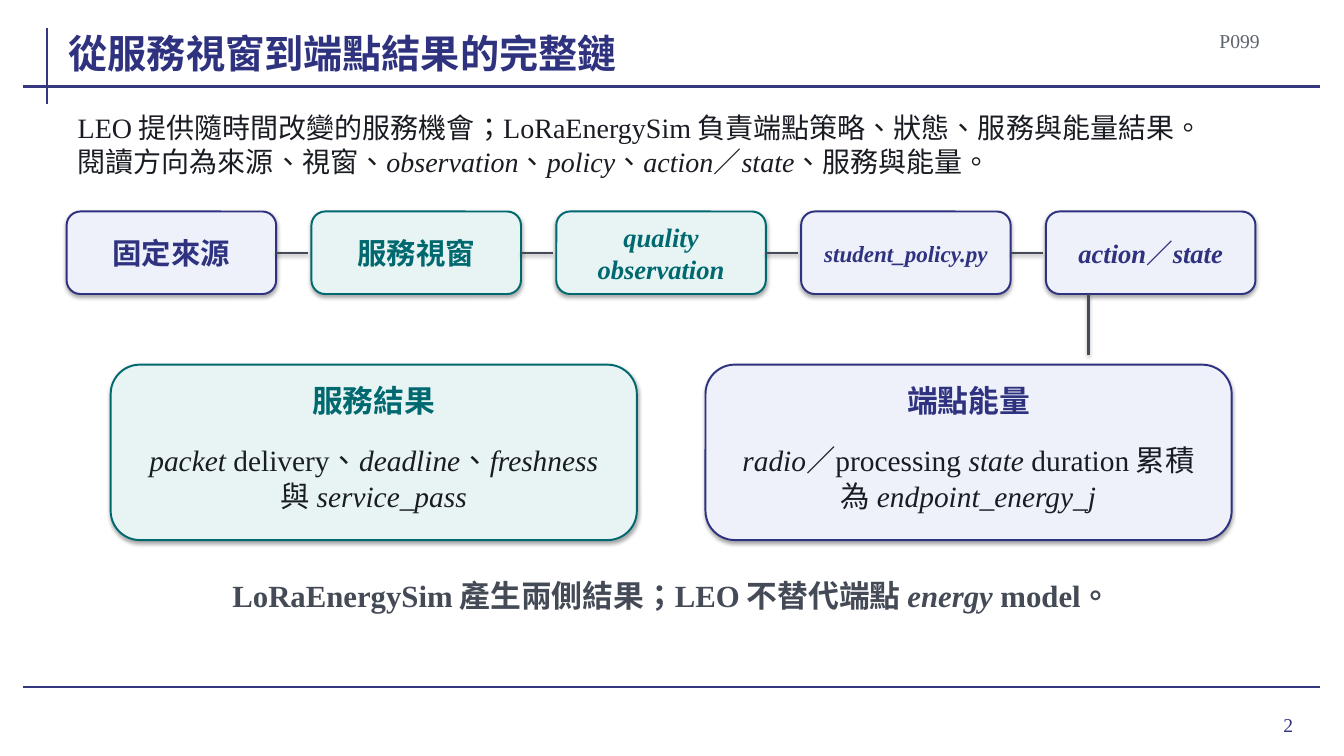
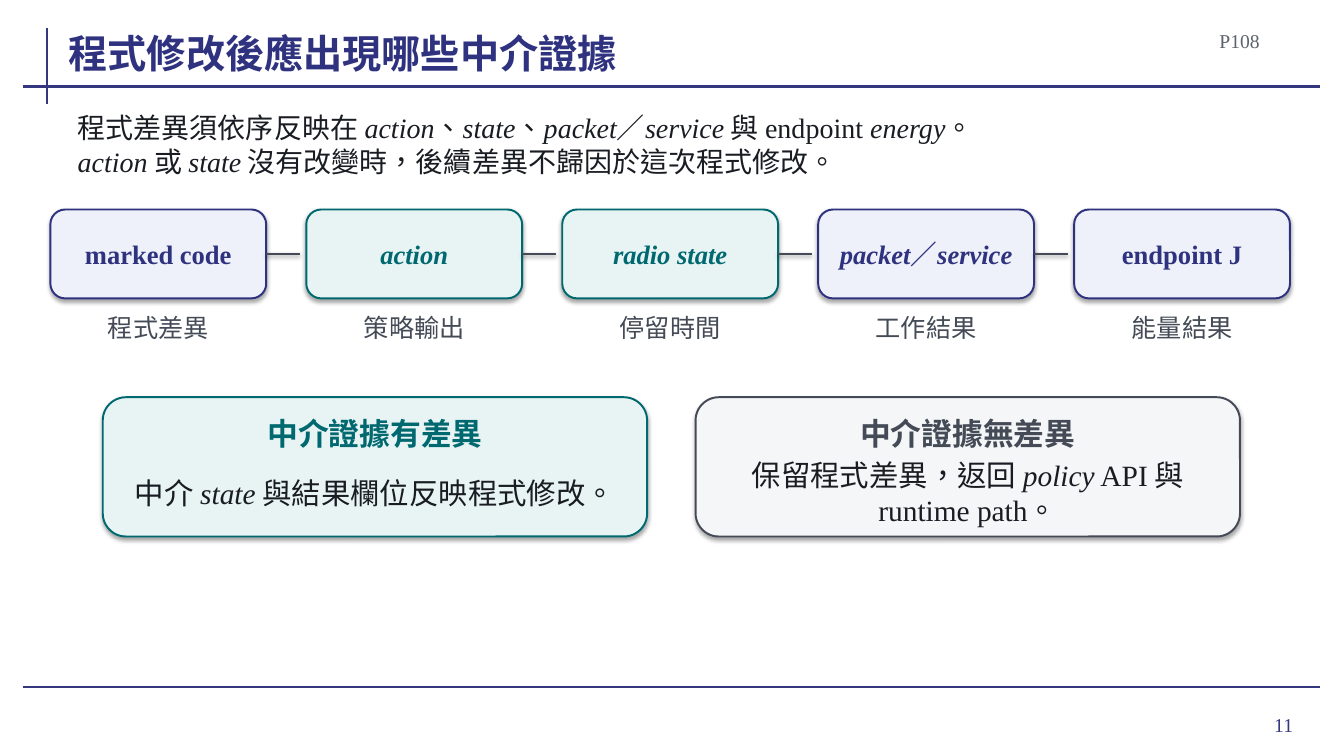
from itertools import groupby

from lxml import etree
from pptx import Presentation
from pptx.dml.color import RGBColor
from pptx.enum.lang import MSO_LANGUAGE_ID
from pptx.enum.shapes import MSO_CONNECTOR, MSO_SHAPE
from pptx.enum.text import MSO_ANCHOR, MSO_AUTO_SIZE, PP_ALIGN
from pptx.oxml.ns import qn
from pptx.util import Cm, Pt

LEFT, CENTER, RIGHT = PP_ALIGN.LEFT, PP_ALIGN.CENTER, PP_ALIGN.RIGHT
TOP, MIDDLE, BOTTOM = MSO_ANCHOR.TOP, MSO_ANCHOR.MIDDLE, MSO_ANCHOR.BOTTOM
NO_AUTO_SIZE = MSO_AUTO_SIZE.NONE
STRAIGHT = MSO_CONNECTOR.STRAIGHT
ROUNDED = MSO_SHAPE.ROUNDED_RECTANGLE
CHINESE = MSO_LANGUAGE_ID.TRADITIONAL_CHINESE

LATIN_FONT, CJK_FONT = "Times New Roman", "Noto Sans CJK SC"
FRAME, NAVY, TEAL, GRAY = "35377F", "2F327F", "006970", "444B56"
INK, CODE_GRAY = "191C22", "5C626C"
TINTS = {NAVY: "EEF1F9", TEAL: "E8F4F4", GRAY: "F5F6F8"}
LINE_HEIGHT = 1.21
TITLE_ONLY = 5

TITLE_BOX = (1.73, 0.46, 27.69, 1.47)
CODE_BOX = (29.77, 0.69, 2.08, 0.66)
INTRO_BOX = (1.93, 2.84, 29.92, 1.57)
PAGE_BOX = (30.38, 17.6, 2.46, 1.32)
FRAME_LINES = [
    (1.19, 0.71, 1.19, 2.62),
    (0.58, 2.18, 33.27, 2.18),
    (0.58, 17.32, 33.27, 17.32),
]


def rgb(color):
    return RGBColor.from_string(color)


def lengths(values):
    return [Cm(value) for value in values]


def set_effects(shape, opacity=0, distance=0):
    """Replace the theme shadow by a soft one below, or by none."""
    effects = etree.SubElement(shape._element.spPr, qn("a:effectLst"))
    if opacity:
        shadow = etree.SubElement(
            effects, qn("a:outerShdw"), blurRad=str(Pt(3.1)),
            dist=str(Pt(distance)), dir="5400000", rotWithShape="0")
        color = etree.SubElement(shadow, qn("a:srgbClr"), val="000000")
        etree.SubElement(color, qn("a:alpha"), val=str(opacity * 1000))


def is_cjk(text, index):
    """A space counts as CJK when it touches a CJK character."""
    if text[index] == " ":
        return any(character > "\u2e80"
                   for character in text[max(index - 1, 0):index + 2])
    return text[index] > "\u2e80"


def add_runs(paragraph, text, size, color, bold):
    """Write a line in which *stars* enclose italics."""
    for number, part in enumerate(text.split("*")):
        for cjk, indexes in groupby(range(len(part)), lambda i: is_cjk(part, i)):
            run = paragraph.add_run()
            run.text = "".join(part[index] for index in indexes)
            font_name = CJK_FONT if cjk else LATIN_FONT
            values = {"size": Pt(size), "bold": bold, "italic": number % 2 == 1,
                      "name": font_name}
            if cjk:
                values["language_id"] = CHINESE
            for name, value in values.items():
                setattr(run.font, name, value)
            run.font.color.rgb = rgb(color)
            latin = run._r.rPr.find(qn("a:latin"))
            latin.addnext(etree.Element(qn("a:ea"), typeface=font_name))


def write(frame, text, size, color, bold=False, align=CENTER, anchor=MIDDLE,
          inset=0.1):
    values = {"word_wrap": True, "auto_size": NO_AUTO_SIZE,
              "vertical_anchor": anchor}
    for side in ("left", "right", "top", "bottom"):
        values[f"margin_{side}"] = Cm(inset)
    for name, value in values.items():
        setattr(frame, name, value)
    paragraph = frame.paragraphs[0]
    paragraph.alignment = align
    paragraph.line_spacing = Pt(round(size * LINE_HEIGHT, 1))
    for number, line in enumerate(text.split("\n")):
        if number:
            paragraph.add_line_break()
        add_runs(paragraph, line, size, color, bold)


def add_text(slide, box, text, size, color, **layout):
    shape = slide.shapes.add_textbox(*lengths(box))
    write(shape.text_frame, text, size, color, **layout)


def add_line(slide, ends, color):
    line = slide.shapes.add_connector(STRAIGHT, *lengths(ends))
    line.line.color.rgb = rgb(color)
    line.line.width = Pt(1.5)
    return line


def add_link(slide, *ends):
    set_effects(add_line(slide, ends, GRAY), 38, 1.6)


def add_panel(slide, box, color):
    panel = slide.shapes.add_shape(ROUNDED, *lengths(box))
    panel.fill.solid()
    panel.fill.fore_color.rgb = rgb(TINTS[color])
    panel.line.color.rgb = rgb(color)
    panel.line.width = Pt(1.4)
    set_effects(panel, 35, 1.8)
    return panel


def add_chain(slide, first_box, pitch, link, nodes):
    """Place equal nodes in a row, each but the last with a link after it."""
    left, top, width, height = first_box
    for number, (text, size, color, caption) in enumerate(nodes):
        x = left + number * pitch
        node = add_panel(slide, (x, top, width, height), color)
        write(node.text_frame, text, size, color, bold=True)
        if caption:
            add_text(slide, (x, top + height + 0.25, width, 1.07), caption, 18,
                     GRAY, anchor=TOP)
        if number < len(nodes) - 1:
            middle = top + height / 2
            add_link(slide, x + width, middle, x + width + link, middle)


def add_card(slide, box, heading, text, color):
    left, top, width, height = box
    add_panel(slide, box, color)
    inner_left, inner_width = left + 0.5, width - 1
    add_text(slide, (inner_left, top + 0.41, inner_width, 0.97), heading, 22,
             color, bold=True)
    add_text(slide, (inner_left, top + 1.63, inner_width, height - 1.98), text,
             21, INK)


def add_base(presentation, title, code, page, intro):
    slide = presentation.slides.add_slide(presentation.slide_layouts[TITLE_ONLY])
    write(slide.shapes.title.text_frame, title, 28, NAVY, bold=True, align=LEFT,
          anchor=BOTTOM, inset=0)
    add_text(slide, CODE_BOX, code, 14, CODE_GRAY, align=RIGHT)
    add_text(slide, PAGE_BOX, page, 14, FRAME, align=RIGHT, inset=0.25)
    add_text(slide, INTRO_BOX, intro, 20, INK, align=LEFT, inset=0.03)
    return slide


def prepare_layout(layout, slide):
    """Put the title box and the frame lines, drawn on a slide, on its layout."""
    title = layout.placeholders[0]
    title.left, title.top, title.width, title.height = lengths(TITLE_BOX)
    for ends in FRAME_LINES:
        line = add_line(slide, ends, FRAME)
        set_effects(line)
        layout.shapes._spTree.append(line._element)


def add_flow_slide(presentation):
    slide = add_base(
        presentation, "從服務視窗到端點結果的完整鏈", "P099", "2",
        "LEO 提供隨時間改變的服務機會；LoRaEnergySim 負責端點策略、狀態、服務與能量結果。\n"
        "閱讀方向為來源、視窗、*observation*、*policy*、*action*／*state*、服務與能量。")
    add_chain(slide, (1.68, 5.33, 5.28, 2.08), 6.17, 0.81, [
        ("固定來源", 21, NAVY, ""),
        ("服務視窗", 21, TEAL, ""),
        ("*quality observation*", 19, TEAL, ""),
        ("*student_policy.py*", 16.5, NAVY, ""),
        ("*action*／*state*", 19, NAVY, ""),
    ])
    add_link(slide, 27.43, 7.41, 27.43, 8.94)
    add_card(slide, (2.79, 9.19, 13.26, 4.42), "服務結果",
             "*packet* delivery、*deadline*、*freshness* 與 *service_pass*", TEAL)
    add_card(slide, (17.78, 9.19, 13.26, 4.42), "端點能量",
             "*radio*／processing *state* duration 累積為 *endpoint_energy_j*", NAVY)
    add_text(slide, (2.84, 14.35, 28.19, 1.27),
             "LoRaEnergySim 產生兩側結果；LEO 不替代端點 *energy* model。",
             22, GRAY, bold=True)
    return slide


def add_evidence_slide(presentation):
    slide = add_base(
        presentation, "程式修改後應出現哪些中介證據", "P108", "11",
        "程式差異須依序反映在 *action*、*state*、*packet*／*service* 與 endpoint *energy*。\n"
        "*action* 或 *state* 沒有改變時，後續差異不歸因於這次程式修改。")
    add_chain(slide, (1.27, 5.28, 5.44, 2.24), 6.45, 0.86, [
        ("marked code", 19, NAVY, "程式差異"),
        ("*action*", 19, TEAL, "策略輸出"),
        ("*radio state*", 19, TEAL, "停留時間"),
        ("*packet*／*service*", 19, NAVY, "工作結果"),
        ("endpoint J", 19, NAVY, "能量結果"),
    ])
    add_card(slide, (2.59, 10.01, 13.72, 3.51), "中介證據有差異",
             "中介 *state* 與結果欄位反映程式修改。", TEAL)
    add_card(slide, (17.53, 10.01, 13.72, 3.51), "中介證據無差異",
             "保留程式差異，返回 *policy* API 與 runtime path。", GRAY)


def main():
    presentation = Presentation()
    presentation.slide_width, presentation.slide_height = lengths((33.87, 19.05))
    flow_slide = add_flow_slide(presentation)
    prepare_layout(flow_slide.slide_layout, flow_slide)
    add_evidence_slide(presentation)
    presentation.save("out.pptx")


if __name__ == "__main__":
    main()
